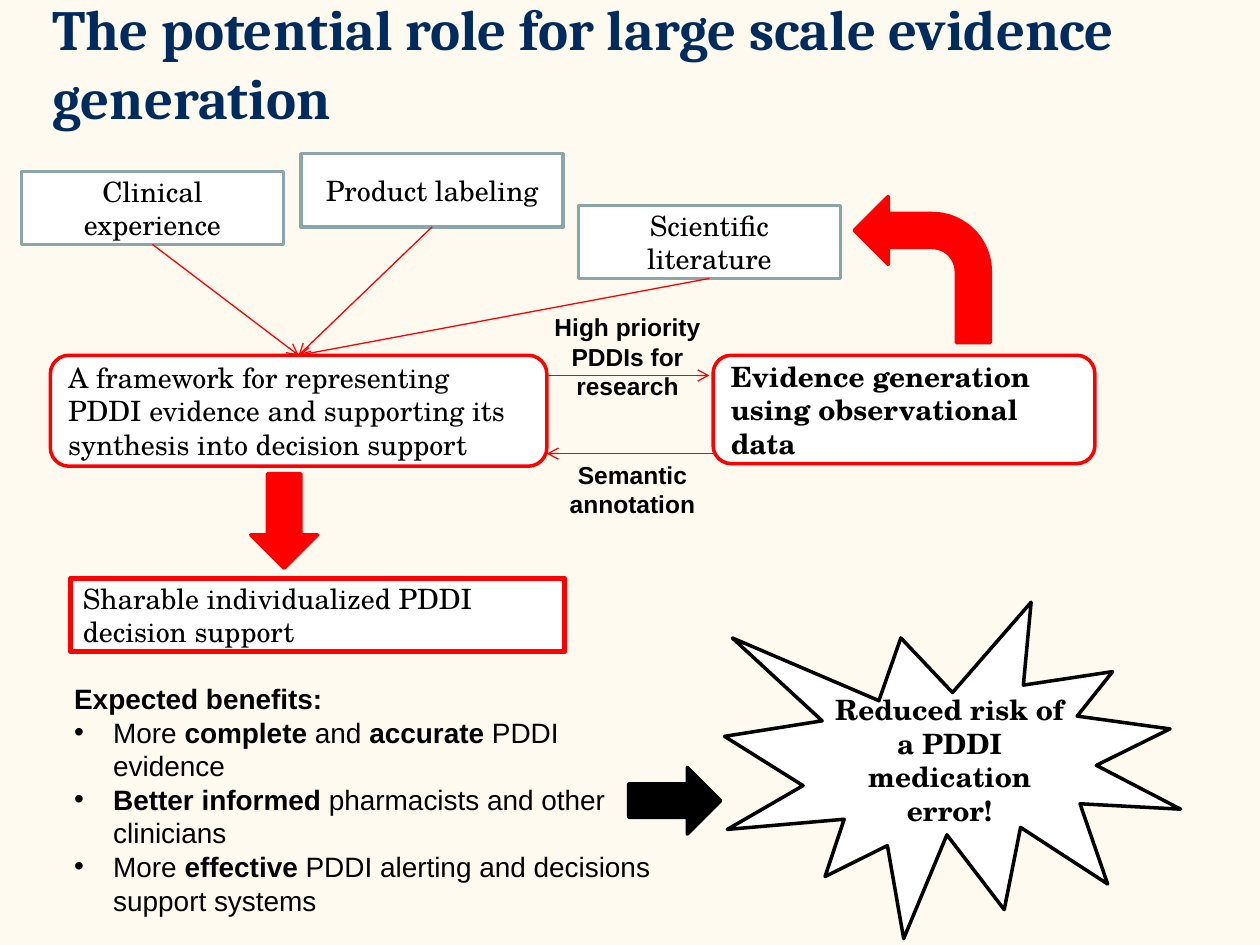
from lxml import etree
from pptx import Presentation
from pptx import util as u
from pptx.dml.color import RGBColor
from pptx.enum import shapes, text
from pptx.oxml.ns import qn

PX = 9144  # EMU per px, 100 px to the inch
RED, GREY, WHITE, BLACK, NAVY = "FF0000", "8AA6A8", "FFFFFF", "000000", "002B5E"
SERIF, SANS = "TeX Gyre Schola", "Arial"
KIND = shapes.MSO_SHAPE
LEFT, MID = text.PP_ALIGN.LEFT, text.PP_ALIGN.CENTER


def px(*vals):
    return [u.Emu(v * PX) for v in vals]


def color(code):
    return RGBColor.from_string(code)


def write(shape, lines, size, font, hue=BLACK, bold=False, align=LEFT, mid=True):
    """Fill a shape with paragraphs; parts between asterisks are bold."""
    frame = shape.text_frame
    frame.word_wrap = True
    anchor = text.MSO_ANCHOR
    frame.vertical_anchor = anchor.MIDDLE if mid else anchor.TOP
    for i, line in enumerate(lines):
        para = frame.add_paragraph() if i else frame.paragraphs[0]
        para.alignment = align
        for n, part in enumerate(line.split("*")):
            if part:
                run = para.add_run()
                run.text = part
                run.font.size, run.font.name = u.Pt(size), font
                run.font.bold = bold or n % 2 == 1
                run.font.color.rgb = color(hue)


def label(slide, box, lines, size, font, **style):
    area = slide.shapes.add_textbox(*px(*box))
    write(area, lines, size, font, **style)
    return area


def block(slide, kind, box, fill, edge, width=2):
    shape = slide.shapes.add_shape(kind, *px(*box))
    shape.shadow.inherit = False
    shape.fill.solid()
    shape.fill.fore_color.rgb = color(fill)
    shape.line.color.rgb = color(edge)
    shape.line.width = u.Pt(width)
    return shape


def card(slide, kind, box, words, edge, width=2, **style):
    shape = block(slide, kind, box, WHITE, edge, width)
    write(shape, [words], 16, SERIF, **style)


def arrow(slide, start, end):
    link = slide.shapes.add_connector(shapes.MSO_CONNECTOR.STRAIGHT, *px(*start, *end))
    link.line.color.rgb = color(RED)
    link.line.width = u.Pt(0.75)
    etree.SubElement(link.line._get_or_add_ln(), qn("a:tailEnd"), type="arrow")
    etree.SubElement(link.element.spPr, qn("a:effectLst"))


def sources(slide, x, y, goal):
    """Three evidence sources, each pointing to the goal."""
    wide, high = 208, 58
    for dx, dy, name in ((0, 14, "Clinical experience"), (222, 0, "Product labeling"),
                         (442, 41, "Scientific literature")):
        left, top = x + dx, y + dy
        card(slide, KIND.RECTANGLE, (left, top, wide, high), name, GREY, align=MID)
        arrow(slide, (left + wide // 2, top + high), goal)


def exchange(slide, x, y):
    """Framework and evidence generation, with the links between them."""
    near, far = x + 394, x + 526
    card(slide, KIND.ROUNDED_RECTANGLE, (x, y, 394, 88),
         "A framework for representing PDDI evidence and supporting its "
         "synthesis into decision support", RED)
    card(slide, KIND.ROUNDED_RECTANGLE, (far, y, 303, 86),
         "Evidence generation using observational data", RED, bold=True)
    arrow(slide, (near, y + 16), (far - 3, y + 16))
    arrow(slide, (far, y + 78), (near, y + 78))
    for box, words in (((x + 367, y - 39, 182, 55), "High priority PDDIs for research"),
                       ((x + 399, y + 78, 126, 57), "Semantic annotation")):
        label(slide, box, [words], 14, SANS, bold=True, align=MID, mid=False)
    # Feedback from new evidence to the literature
    bend = block(slide, KIND.BENT_ARROW, (x + 638, y - 126, 108, 116), RED, RED)
    bend.adjustments[3] = 0.427
    bend.element.spPr.xfrm.set("flipH", "1")


def support(slide, x, y):
    """Decision support below the framework."""
    down = block(slide, KIND.RIGHT_ARROW, (x + 132, y, 75, 53), RED, RED)
    down.rotation = 90
    card(slide, KIND.RECTANGLE, (x, y + 72, 392, 58),
         "Sharable individualized PDDI decision support", RED, 3.25)


def benefits(slide, x, y):
    """Bulleted benefits under a bold heading."""
    area = label(slide, (x, y, 479, 169), [
        "*Expected benefits:*",
        "More *complete* and *accurate* PDDI evidence",
        "*Better informed *pharmacists and other clinicians",
        "More *effective* PDDI alerting and decisions support systems",
    ], 16, SANS, mid=False)
    for para in area.text_frame.paragraphs[1:]:
        props = para._p.get_or_add_pPr()
        props.set("marL", str(31 * PX))
        props.set("indent", str(-31 * PX))
        etree.SubElement(props, qn("a:buFont"), typeface=SANS)
        etree.SubElement(props, qn("a:buChar"), char="•")


def outcome(slide, x, y):
    """Black arrow leading to the burst."""
    card(slide, KIND.EXPLOSION1, (x + 76, y, 362, 267),
         "Reduced risk of a PDDI medication error!", BLACK, bold=True, align=MID)
    block(slide, KIND.RIGHT_ARROW, (x, y + 131, 73, 53), BLACK, BLACK)


def main():
    deck = Presentation()
    deck.slide_width, deck.slide_height = px(1000, 750)
    slide = deck.slides.add_slide(deck.slide_layouts[6])
    slide.background.fill.solid()
    slide.background.fill.fore_color.rgb = color("FFFAF0")
    label(slide, (32, 18, 911, 63),
          ["The potential role for large scale evidence generation"],
          32.4, "Cambria", hue=NAVY, bold=True)
    sources(slide, 17, 122, (237, 282))
    exchange(slide, 40, 282)
    support(slide, 56, 387)
    benefits(slide, 49, 536)
    outcome(slide, 499, 478)
    deck.save("out.pptx")


if __name__ == "__main__":
    main()
